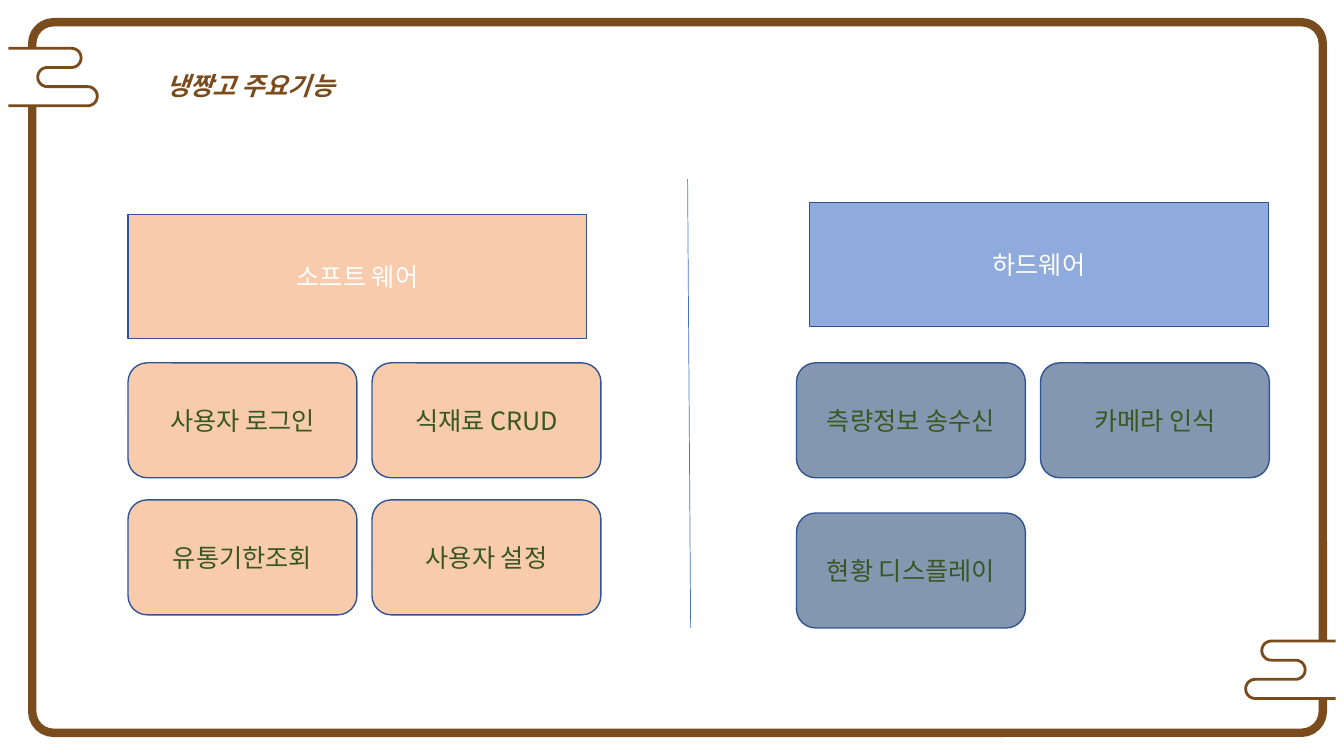
import math

from lxml import etree
from pptx import Presentation
from pptx.dml.color import RGBColor
from pptx.enum import shapes, text
from pptx.oxml import ns
from pptx.util import Inches, Pt

FONT = "Noto Sans CJK KR"
COLORS = {
    "white": "FFFFFF",
    "brown": "794B1D",
    "peach": "F8CBAD",
    "blue": "8FAADC",
    "slate": "8497B0",
    "outline": "325491",
    "divider": "4472C4",
    "green": "385723",
}
CARD_WIDTH, CARD_HEIGHT, COLUMN_PITCH = 2.27, 1.14, 2.42


def color(name):
    return RGBColor.from_string(COLORS[name])


def style(shape, fill=None, line=None, line_width=1):
    shape.shadow.inherit = False
    if fill:
        shape.fill.solid()
        shape.fill.fore_color.rgb = color(fill)
    else:
        shape.fill.background()
    if line:
        shape.line.color.rgb = color(line)
        shape.line.width = Pt(line_width)
    else:
        shape.line.fill.background()


def add_box(slide, kind, box, **look):
    shape = slide.shapes.add_shape(kind, *map(Inches, box))
    style(shape, **look)
    return shape


def write(shape, words, font_color):
    """Add one 18 pt run and return its paragraph and font."""
    paragraph = shape.text_frame.paragraphs[0]
    run = paragraph.add_run()
    run.text = words
    run.font.size = Pt(18)
    run.font.name = FONT
    run.font.color.rgb = color(font_color)
    east_asian = etree.SubElement(run.font._element, ns.qn("a:ea"))
    east_asian.set("typeface", FONT)
    return paragraph, run.font


def add_label(slide, kind, box, words, fill, font_color):
    shape = add_box(slide, kind, box, fill=fill, line="outline")
    shape.text_frame.word_wrap = True
    shape.text_frame.vertical_anchor = text.MSO_ANCHOR.MIDDLE
    paragraph, _ = write(shape, words, font_color)
    paragraph.alignment = text.PP_ALIGN.CENTER


def add_scroll(slide, edge, top, direction):
    """Draw a ribbon that winds inwards from a side edge in three half-circle turns."""
    radius = 0.095
    points = [(edge, top)]
    for row, (reach, side) in enumerate([(0.7, 1), (0.46, -1), (0.86, 1)]):
        middle = top + radius * (2 * row + 1)
        for degrees in range(-90, 91, 10):
            angle = math.radians(degrees)
            offset = reach + side * radius * math.cos(angle)
            points.append((edge + direction * offset, middle + radius * math.sin(angle)))
    points.append((edge, top + 6 * radius))
    points = [(Inches(x), Inches(y)) for x, y in points]
    builder = slide.shapes.build_freeform(*points[0])
    builder.add_line_segments(points[1:], close=True)
    style(builder.convert_to_shape(), fill="white", line="brown", line_width=2)


def add_border(slide):
    border = add_box(slide, shapes.MSO_SHAPE.ROUNDED_RECTANGLE,
                     (0.32, 0.22, 12.8, 7.05), line="brown", line_width=6)
    border.adjustments[0] = 0.03
    add_scroll(slide, 0.01, 0.48, 1)
    add_scroll(slide, 13.31, 6.36, -1)
    margin = add_box(slide, shapes.MSO_SHAPE.FRAME, (0, 0, 13.33, 7.5), fill="white")
    margin.adjustments[0] = 0.011


def add_title(slide, words):
    box = slide.shapes.add_textbox(*map(Inches, (1.55, 0.65, 3.89, 0.4)))
    box.text_frame.word_wrap = True
    box.text_frame.auto_size = text.MSO_AUTO_SIZE.SHAPE_TO_FIT_TEXT
    _, font = write(box, words, "brown")
    font.bold = font.italic = True


def add_divider(slide):
    line = slide.shapes.add_connector(shapes.MSO_CONNECTOR.STRAIGHT,
                                      *map(Inches, (6.82, 1.78, 6.85, 6.23)))
    line.line.color.rgb = color("divider")
    line.line.width = Pt(0.5)
    etree.SubElement(line._element.spPr, ns.qn("a:effectLst"))


def add_header(slide, left, top, words, fill):
    add_label(slide, shapes.MSO_SHAPE.RECTANGLE, (left, top, 4.55, 1.23),
              words, fill, "white")


def add_cards(slide, left, row_pitch, features, fill):
    """Place the features in two columns, row by row."""
    for index, feature in enumerate(features):
        row, column = divmod(index, 2)
        box = (left + column * COLUMN_PITCH, 3.6 + row * row_pitch,
               CARD_WIDTH, CARD_HEIGHT)
        add_label(slide, shapes.MSO_SHAPE.ROUNDED_RECTANGLE, box, feature, fill, "green")


def main():
    presentation = Presentation()
    presentation.slide_width = Inches(13.33)
    presentation.slide_height = Inches(7.5)
    slide = presentation.slides.add_slide(presentation.slide_layouts[6])

    add_border(slide)
    add_title(slide, "냉짱고 주요기능")
    add_divider(slide)
    add_header(slide, 1.27, 2.13, "소프트 웨어", "peach")
    add_cards(slide, 1.27, 1.36,
              ["사용자 로그인", "식재료 CRUD", "유통기한조회", "사용자 설정"], "peach")
    add_header(slide, 8.03, 2.01, "하드웨어", "blue")
    add_cards(slide, 7.9, 1.49,
              ["측량정보 송수신", "카메라 인식", "현황 디스플레이"], "slate")
    presentation.save("out.pptx")


if __name__ == "__main__":
    main()
